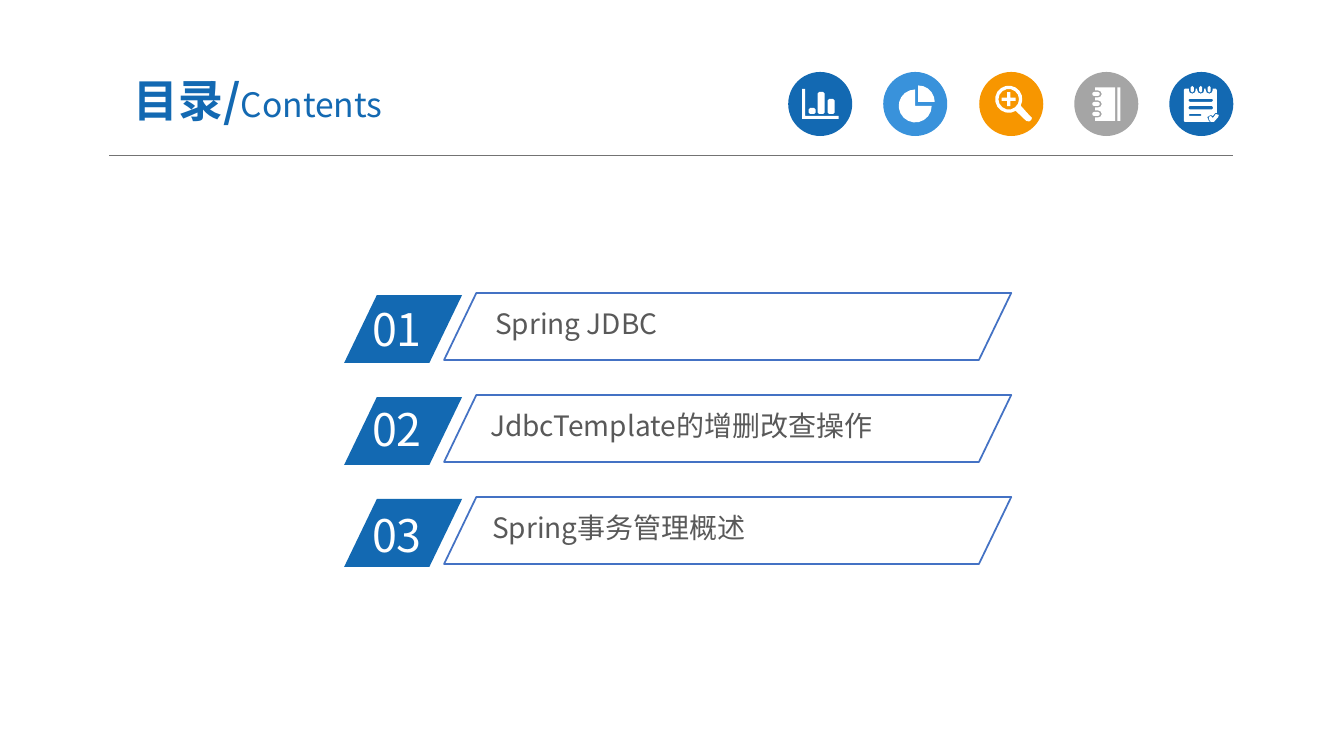
from math import cos, radians, sin, sqrt

from lxml.etree import SubElement
from pptx import Presentation
from pptx.dml.color import RGBColor
from pptx.enum.shapes import MSO_CONNECTOR, MSO_SHAPE
from pptx.enum.text import MSO_ANCHOR, MSO_AUTO_SIZE, PP_ALIGN
from pptx.oxml.ns import qn
from pptx.util import Inches, Pt

PX = 914400 / 100.8
FINE = 20  # outline units per px
BLUE, SKY, ORANGE, GREY = "1369B2", "3992DB", "F79600", "A5A5A5"
WHITE, TEXT, OUTLINE, RULE = "FFFFFF", "595959", "4472C4", "737373"


def px(length):
    return round(length * PX)


def color(value):
    return RGBColor.from_string(value)


def arc(cx, cy, radius, start=0, end=360):
    """Points along an arc, angles in degrees clockwise from the right."""
    steps = max(1, round(abs(end - start) * sqrt(radius) / 80))
    angles = [radians(start + (end - start) * i / steps) for i in range(steps + 1)]
    return [(cx + radius * cos(a), cy + radius * sin(a)) for a in angles]


def rounded(x0, y0, x1, y1, r=1):
    corners = ((x1 - r, y1 - r, 0), (x0 + r, y1 - r, 90),
               (x0 + r, y0 + r, 180), (x1 - r, y0 + r, 270))
    return [p for cx, cy, a in corners for p in arc(cx, cy, r, a, a + 90)]


# Icon outlines, in px from the centre of their disc
def bar_chart():
    axes = [(-18, -15), (-15, -15), (-15, 12), (18.5, 12), (18.5, 15), (-18, 15)]
    bars = [rounded(x, top, x + 7, 10, 1.5)
            for x, top in ((-11.5, 4), (-2.5, -12), (7.5, -5))]
    return [axes, *bars]


def pie():
    return [[(0, 2), *arc(0, 2, 16.5, 0, 270)],
            [(3, -2), *arc(3, -2, 16.5, -90, 0)]]


def magnifier():
    x, y, arm, half = -2.5, -4.7, 7, 1.6
    handle = [(18.7, 12), (20.7, 14), (20, 16), (18, 17.5), (15, 17)]
    corner = [(half, -arm), (half, -half), (arm, -half)]
    plus = []
    for _ in range(4):
        plus += [(x + dx, y + dy) for dx, dy in corner]
        corner = [(-dy, dx) for dx, dy in corner]
    return [arc(x, y, 13.6, 59, 388) + handle, arc(x, y, 10.3), plus]


def notebook():
    rings = (10, 0, -10)
    page = [(-11, -16.5), (9, -16.5), (9, 17), (-11, 17)]
    for y in rings:
        page += [(-11, y + 3.5), *arc(-8, y, 3.5, 90, -90), (-11, y - 3.5)]
    return [page, [(11, -16.5), (14, -16.5), (14, 17), (11, 17)],
            *[rounded(-14, y - 2, -6.5, y + 2, 1.9) for y in rings]]


def notepad():
    pins = (-9, -0.5, 8)
    sheet = [(-17.5, -14), (-16.5, -15.3)]
    for x in pins:
        sheet += [(x - 3.5, -15.3), *arc(x, -13.8, 3.5, 180, 0), (x + 3.5, -15.3)]
    sheet += [(14.5, -15.3), (15.7, -14), (15.7, 9), (14, 9), (11.6, 12),
              (9.4, 11), (6, 13), (7, 16), (8.6, 18), (-16.5, 18), (-17.5, 17)]
    tick = [(7.5, 13), (9.6, 12), (11.6, 14), (14.6, 10), (17.5, 11),
            (17, 13), (12.6, 18), (9.6, 18), (7.5, 15)]
    lines = [rounded(-12.6, top, right, bottom)
             for top, bottom, right in ((-5.2, -2.2, 11.6), (2, 5.5, 11.6), (10, 12, 0.4))]
    return [sheet, tick, *lines, *[rounded(x - 1.5, -18, x + 1.5, -11.5, 1.4) for x in pins]]


def add_text(paragraph, text, size, fill, bold=False, font="Noto Sans CJK SC"):
    run = paragraph.add_run()
    run.text = text
    run.font.size, run.font.bold = Pt(size), bold
    run.font.color.rgb = color(fill)
    run.font.name = font
    SubElement(run.font._element, qn("a:ea"), typeface=font)


class ContentsSlide:
    def __init__(self, prs):
        self.slide = prs.slides.add_slide(prs.slide_layouts[5])
        self.shapes = self.slide.shapes

    def style(self, shape, fill=None, line=None):
        shape.shadow.inherit = False
        if fill:
            shape.fill.solid()
            shape.fill.fore_color.rgb = color(fill)
        else:
            shape.fill.background()
        if line:
            shape.line.color.rgb, shape.line.width = color(line), Pt(1.25)
        else:
            shape.line.fill.background()

    def frame(self, shape, inset_x, inset_y, fit=MSO_AUTO_SIZE.NONE):
        frame = shape.text_frame
        frame.word_wrap, frame.auto_size = True, fit
        frame.margin_left = frame.margin_right = px(inset_x)
        frame.margin_top = frame.margin_bottom = px(inset_y)
        return frame

    def title(self, left, top, width, height, runs):
        title = self.shapes.title
        title.left, title.top = px(left), px(top)
        title.width, title.height = px(width), px(height)
        frame = self.frame(title, 13, 7)
        frame.vertical_anchor = MSO_ANCHOR.MIDDLE
        paragraph = frame.paragraphs[0]
        paragraph.alignment = PP_ALIGN.CENTER
        for text, size, bold in runs:
            add_text(paragraph, text, size, BLUE, bold=bold)

    def rule(self, x0, x1, y):
        rule = self.shapes.add_connector(MSO_CONNECTOR.STRAIGHT, px(x0), px(y), px(x1), px(y))
        rule.line.color.rgb, rule.line.width = color(RULE), Pt(0.5)
        SubElement(rule._element.spPr, qn("a:effectLst"))

    def preset(self, kind, left, top, width, height, **style):
        shape = self.shapes.add_shape(kind, px(left), px(top), px(width), px(height))
        self.style(shape, **style)
        return shape

    def slanted(self, left, top, width, height, **style):
        shape = self.preset(MSO_SHAPE.PARALLELOGRAM, left, top, width, height, **style)
        shape.adjustments[0] = 0.482

    def label(self, left, top, width, height, text, inset=(7, 4), **look):
        box = self.shapes.add_textbox(px(left), px(top), px(width), px(height))
        frame = self.frame(box, *inset, fit=MSO_AUTO_SIZE.SHAPE_TO_FIT_TEXT)
        add_text(frame.paragraphs[0], text, **look)

    def icon(self, left, top, size, fill, contours):
        self.preset(MSO_SHAPE.OVAL, left, top, size, size, fill=fill)
        cx, cy = left + size / 2, top + size / 2
        placed = [[((cx + x) * FINE, (cy + y) * FINE) for x, y in c] for c in contours]
        builder = self.shapes.build_freeform(*placed[0][0], scale=PX / FINE)
        builder.add_line_segments(placed[0][1:], close=True)
        for contour in placed[1:]:
            builder.move_to(*contour[0])
            builder.add_line_segments(contour[1:], close=True)
        self.style(builder.convert_to_shape(), fill=WHITE)


def main():
    prs = Presentation()
    prs.slide_width, prs.slide_height = Inches(13.33), Inches(7.5)
    contents = ContentsSlide(prs)

    # Header
    contents.rule(109, 1233, 155)
    icons = ((BLUE, bar_chart), (SKY, pie), (ORANGE, magnifier),
             (GREY, notebook), (BLUE, notepad))
    for i, (fill, outline) in enumerate(icons):
        contents.icon(788 + (381 * i + 2) // 4, 72, 64, fill, outline())
    contents.title(92, 63, 332, 73, [("目录/", 32, True), ("Contents", 24, False)])

    # Chapters: number top, text left, text width, text
    chapters = ((297, 488, 415, "Spring JDBC"),
                (397, 483, 415, "JdbcTemplate的增删改查操作"),
                (503, 485, 514, "Spring事务管理概述"))
    for i, (number_top, left, width, chapter) in enumerate(chapters):
        row = 293 + 102 * i
        contents.slanted(344, row + 2, 118, 68, fill=BLUE)
        contents.label(362, number_top, 113, 65, f"{i + 1:02}", inset=(10, 5),
                       size=32, fill=WHITE)
        contents.label(left, row + 9, width, 41, chapter, size=20, fill=TEXT)
        contents.slanted(444, row, 567, 67, line=OUTLINE)

    prs.save("out.pptx")


if __name__ == "__main__":
    main()
